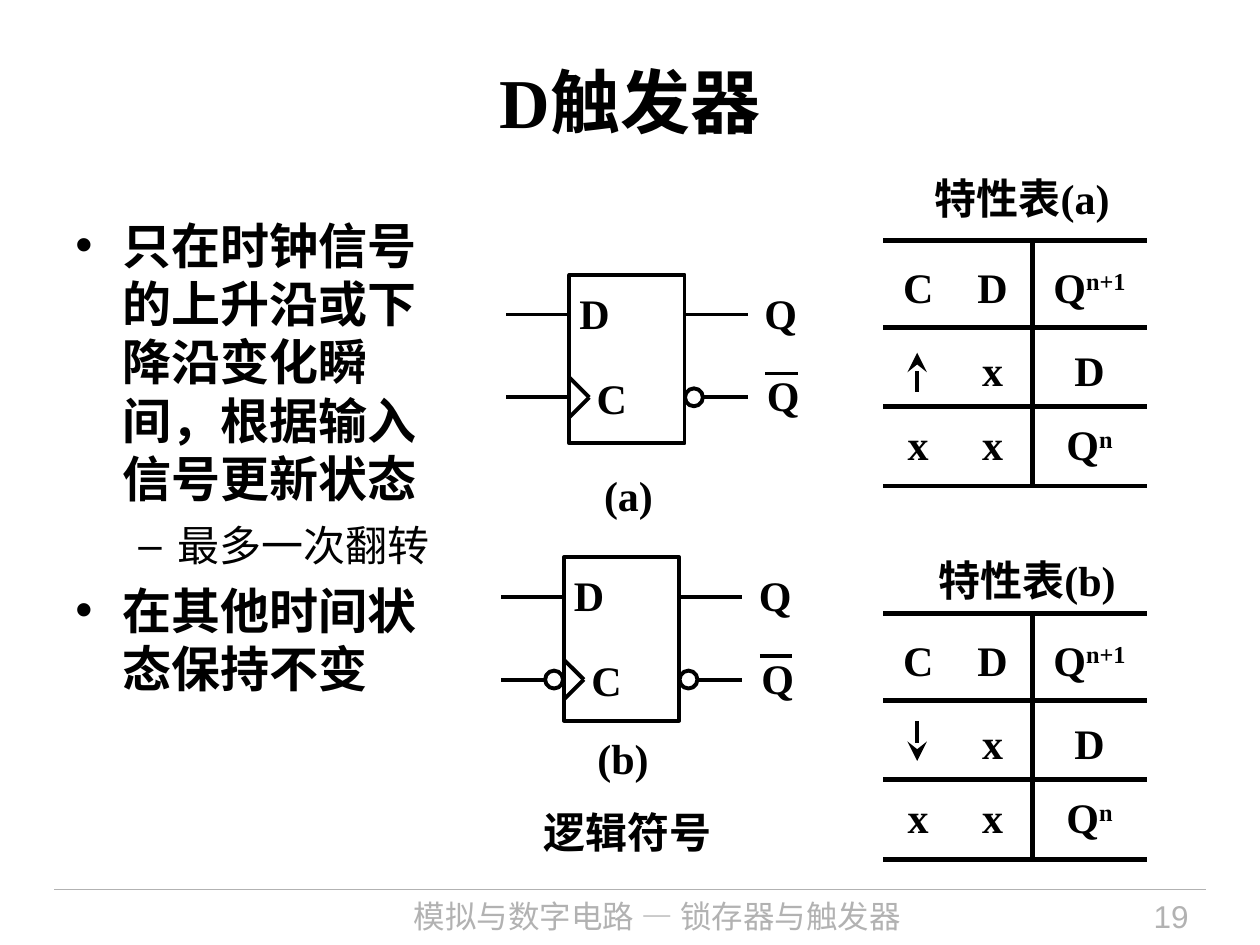
from lxml import etree
from pptx import Presentation
from pptx.dml.color import RGBColor
from pptx.enum import shapes, text
from pptx.oxml import ns
from pptx.util import Cm, Pt

COLORS = {"ink": "000000", "paper": "FFFFFF", "footer": "B2B2B2"}
SERIF, SANS, CJK = "Times New Roman", "Arial", "Noto Sans CJK SC"
LEFT, CENTER, RIGHT = text.PP_ALIGN.LEFT, text.PP_ALIGN.CENTER, text.PP_ALIGN.RIGHT
NO_STYLE = "{2D5ABB26-0587-4C30-8999-92F81FD0307C}"

prs = Presentation()
prs.slide_width, prs.slide_height = Cm(25.4), Cm(19.05)
slide = prs.slides.add_slide(prs.slide_layouts[5])


def write(paragraph, content, align=LEFT, size=24, bold=True, face=SERIF, color="ink"):
    """Add formatted wording; what follows a ^ is superscript."""
    paragraph.alignment = align
    base, _, raised = content.partition("^")
    for part, baseline in ((base, None), (raised, "30000")):
        if not part:
            continue
        run = paragraph.add_run()
        run.text = part
        for key, value in {"size": Pt(size), "bold": bold, "name": face}.items():
            setattr(run.font, key, value)
        run.font.color.rgb = RGBColor.from_string(COLORS[color])
        props = run._r.get_or_add_rPr()
        etree.SubElement(props, ns.qn("a:ea"), typeface=CJK)
        if baseline:
            props.set("baseline", baseline)


def draw_line(x1, y1, x2, y2, width=2.25, color="ink"):
    line = slide.shapes.add_connector(
        shapes.MSO_CONNECTOR.STRAIGHT, Cm(x1), Cm(y1), Cm(x2), Cm(y2))
    line.line.width = Pt(width)
    line.line.color.rgb = RGBColor.from_string(COLORS[color])
    etree.SubElement(line._element.spPr, ns.qn("a:effectLst"))
    return line


# Title
title = slide.shapes.title
title.left, title.top, title.width, title.height = Cm(1.27), Cm(0.43), Cm(22.86), Cm(3.18)
title.text_frame.vertical_anchor = text.MSO_ANCHOR.MIDDLE
write(title.text_frame.paragraphs[0], "D触发器", CENTER, 40)

# Bullet points
points = slide.shapes.add_textbox(Cm(1.27), Cm(4.22), Cm(8.03), Cm(13.5)).text_frame
points.word_wrap = True
levels = [
    {"indent": 0.96, "hang": 0.96, "mark": "•", "size": 28, "pitch": 33.4, "after": 7},
    {"indent": 2.06, "hang": 0.79, "mark": "–", "size": 24, "pitch": 28.6, "after": 6},
]
for index, (level, content) in enumerate([
    (0, "只在时钟信号的上升沿或下降沿变化瞬间，根据输入信号更新状态"),
    (1, "最多一次翻转"),
    (0, "在其他时间状态保持不变"),
]):
    style = levels[level]
    point = points.add_paragraph() if index else points.paragraphs[0]
    point.level = level
    point.line_spacing, point.space_after = Pt(style["pitch"]), Pt(style["after"])
    props = point._p.get_or_add_pPr()
    props.set("marL", str(Cm(style["indent"])))
    props.set("indent", str(-Cm(style["hang"])))
    props.set("hangingPunct", "0")
    etree.SubElement(props, ns.qn("a:buFont"), typeface=SANS)
    etree.SubElement(props, ns.qn("a:buChar"), char=style["mark"])
    write(point, content, size=style["size"], bold=level == 0)

labels = [  # left, top, width, wording, format
    (10.31, 16.13, 4.7, "逻辑符号", {"align": CENTER, "face": SANS}),
    (6.1, 17.83, 14.3, "模拟与数字电路 — 锁存器与触发器",
     {"align": CENTER, "size": 18, "bold": False, "face": CJK, "color": "footer"}),
    (20.83, 17.83, 3.38, "19",
     {"align": RIGHT, "size": 18, "bold": False, "face": SANS, "color": "footer"}),
]

# Logic symbols: (a) rising edge, (b) falling edge with an inverted clock
BODY_WIDTH, WIRE, BUBBLE, DATA_Y, CLOCK_Y = 2.32, 1.27, 0.36, 0.8, 2.47
for x, y, height, caption, caption_y, bubbles in [
    (11.48, 5.54, 3.4, "(a)", 9.34, [2.33]),
    (11.37, 11.23, 3.3, "(b)", 14.65, [2.33, -0.38]),
]:
    body = slide.shapes.add_shape(
        shapes.MSO_SHAPE.RECTANGLE, Cm(x), Cm(y), Cm(BODY_WIDTH), Cm(height))
    body.fill.background()
    outlines = [body]
    for wire_y in (DATA_Y, CLOCK_Y):
        for wire_x in (-WIRE, BODY_WIDTH):
            draw_line(x + wire_x, y + wire_y, x + wire_x + WIRE, y + wire_y)
    for edge in (-0.4, 0.4):
        draw_line(x, y + CLOCK_Y + edge, x + 0.4, y + CLOCK_Y)
    draw_line(x + 3.95, y + 1.99, x + 4.6, y + 1.99)
    for bubble_x in bubbles:
        bubble = slide.shapes.add_shape(
            shapes.MSO_SHAPE.OVAL, Cm(x + bubble_x), Cm(y + CLOCK_Y - BUBBLE / 2),
            Cm(BUBBLE), Cm(BUBBLE))
        bubble.fill.solid()
        bubble.fill.fore_color.rgb = RGBColor.from_string(COLORS["paper"])
        outlines.append(bubble)
    for outline in outlines:
        outline.shadow.inherit = False
        outline.line.width = Pt(2.25)
        outline.line.color.rgb = RGBColor.from_string(COLORS["ink"])
    for pin_x, pin_y, pin in [
        (-0.05, 0.13, "D"), (0.3, 1.84, "C"), (3.68, 0.13, "Q"), (3.73, 1.79, "Q"),
    ]:
        labels.append((x + pin_x, y + pin_y, 1.4, pin, {}))
    labels.append((x + 0.18, caption_y, 2.02, caption, {"align": CENTER}))

# Characteristic tables
ROWS = [("C", "D", "Q^n+1"), ("", "x", "D"), ("x", "x", "Q^n")]
COLUMN_WIDTHS, ROW_HEIGHTS = (1.4, 1.6, 2.31), (1.75, 1.6, 1.6)
TOP_MARGINS = (0.2, 0.2, 0)
TABLE_X = 17.81
for y, heading, heading_x, heading_y, arrow_start, arrow_end in [
    (4.85, "特性表(a)", 18.41, 3.35, 7.9, 7.11),
    (12.37, "特性表(b)", 18.51, 11.05, 14.53, 15.34),
]:
    labels.append((heading_x, heading_y, 4.39, heading, {"align": CENTER}))
    table = slide.shapes.add_table(
        3, 3, Cm(TABLE_X), Cm(y), Cm(sum(COLUMN_WIDTHS)), Cm(sum(ROW_HEIGHTS))).table
    table.first_row = table.horz_banding = False
    table._tbl.tblPr.find(ns.qn("a:tableStyleId")).text = NO_STYLE
    for column, width in zip(table.columns, COLUMN_WIDTHS):
        column.width = Cm(width)
    for row, row_height, top_margin, contents in zip(
            table.rows, ROW_HEIGHTS, TOP_MARGINS, ROWS):
        row.height = Cm(row_height)
        for column_index, (cell, content) in enumerate(zip(row.cells, contents)):
            cell.margin_left = cell.margin_right = cell.margin_bottom = 0
            cell.margin_top = Cm(top_margin)
            cell.vertical_anchor = text.MSO_ANCHOR.MIDDLE
            write(cell.text_frame.paragraphs[0], content, CENTER)
            sides = {0: [], 1: ["lnR"], 2: ["lnL"]}[column_index] + ["lnT", "lnB"]
            for side in sides:
                border = etree.SubElement(
                    cell._tc.get_or_add_tcPr(), ns.qn("a:" + side), w=str(Pt(3)))
                fill = etree.SubElement(border, ns.qn("a:solidFill"))
                etree.SubElement(fill, ns.qn("a:srgbClr"), val=COLORS["ink"])
            cell.fill.background()
    arrow = draw_line(18.49, arrow_start, 18.49, arrow_end)
    etree.SubElement(arrow.line._get_or_add_ln(), ns.qn("a:tailEnd"),
                     type="stealth", w="lg", len="lg")

for x, y, width, content, style in labels:
    label = slide.shapes.add_textbox(Cm(x), Cm(y), Cm(width), Cm(1.27)).text_frame
    label.word_wrap = True
    label.vertical_anchor = text.MSO_ANCHOR.MIDDLE
    label.margin_top = label.margin_bottom = 0
    write(label.paragraphs[0], content, **style)

# Footer rule
draw_line(1.09, 17.93, 24.31, 17.93, 0.75, "footer")

prs.save("out.pptx")
